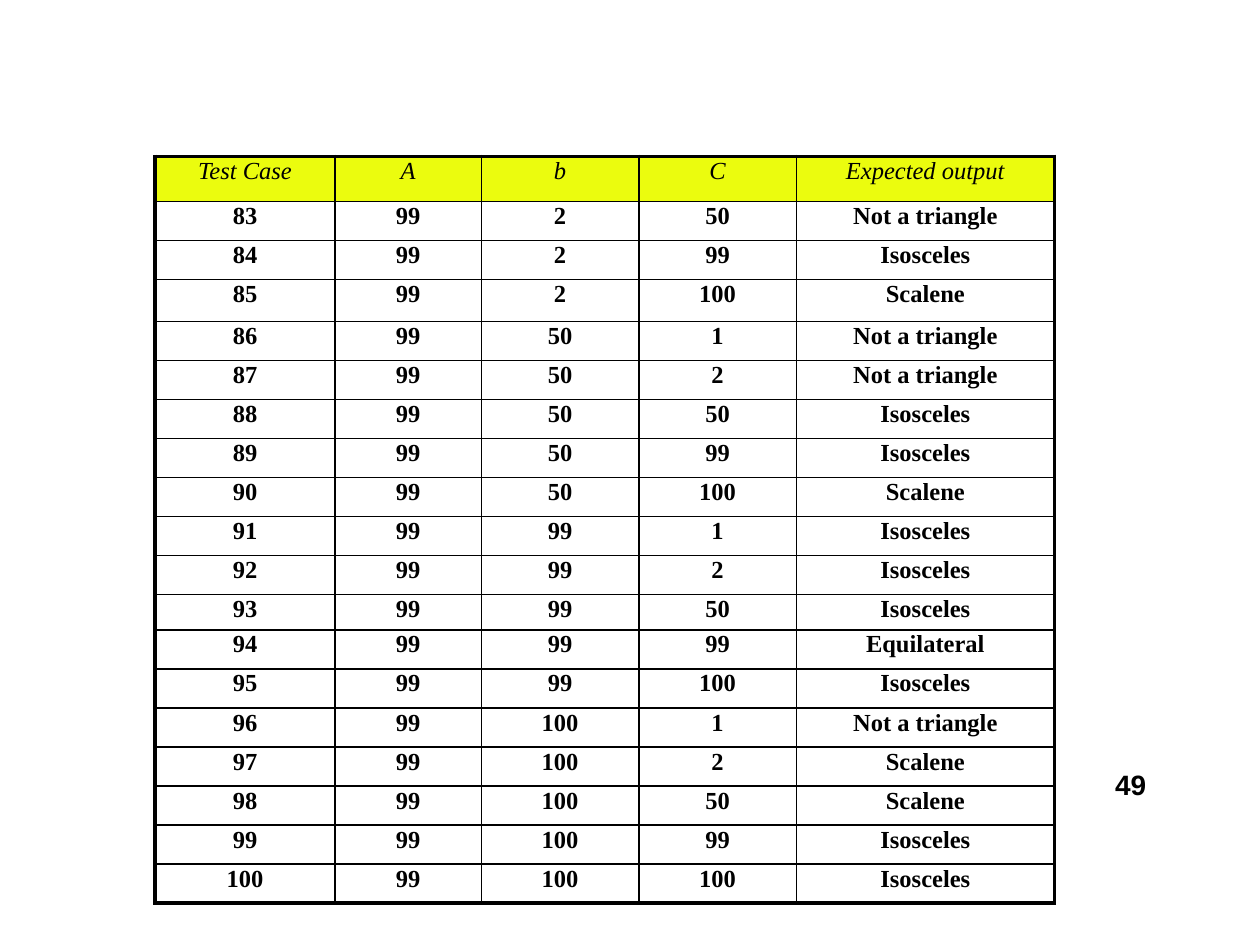
"""Build a slide tabulating triangle test cases 83 to 100."""
from typing import NamedTuple

from lxml import etree
from pptx import Presentation
from pptx import util as u
from pptx.dml.color import RGBColor
from pptx.enum import text
from pptx.oxml import ns

BLACK = RGBColor(0x00, 0x00, 0x00)
YELLOW = RGBColor(0xEB, 0xFC, 0x0E)
THIN, THICK = u.Pt(1), u.Pt(2.25)
HEADS = ("Test Case", "A", "b", "C", "Expected output")
WIDTHS = (1.43, 1.16, 1.25, 1.25, 2.05)
HEIGHT = 0.31
ODD = {0: 0.36, 3: 0.33, 11: 0.28}
FIRST = 83


class Case(NamedTuple):
    a: int
    b: int
    c: int
    result: str


CASES = (
    Case(99, 2, 50, "Not a triangle"),
    Case(99, 2, 99, "Isosceles"),
    Case(99, 2, 100, "Scalene"),
    Case(99, 50, 1, "Not a triangle"),
    Case(99, 50, 2, "Not a triangle"),
    Case(99, 50, 50, "Isosceles"),
    Case(99, 50, 99, "Isosceles"),
    Case(99, 50, 100, "Scalene"),
    Case(99, 99, 1, "Isosceles"),
    Case(99, 99, 2, "Isosceles"),
    Case(99, 99, 50, "Isosceles"),
    Case(99, 99, 99, "Equilateral"),
    Case(99, 99, 100, "Isosceles"),
    Case(99, 100, 1, "Not a triangle"),
    Case(99, 100, 2, "Scalene"),
    Case(99, 100, 50, "Scalene"),
    Case(99, 100, 99, "Isosceles"),
    Case(99, 100, 100, "Isosceles"),
)


def clear(box) -> None:
    box.margin_left = box.margin_right = 0
    box.margin_top = box.margin_bottom = 0


def style(para, name: str, size: int, bold: bool, italic: bool = False) -> None:
    font = para.font
    font.name, font.size = name, u.Pt(size)
    font.bold, font.italic = bold, italic
    font.color.rgb = BLACK


def border(cell, edges: dict[str, bool]) -> None:
    props = cell._tc.get_or_add_tcPr()
    for side, outer in edges.items():
        line = etree.SubElement(props, ns.qn(f"a:ln{side}"), w=str(THICK if outer else THIN))
        fill = etree.SubElement(line, ns.qn("a:solidFill"))
        etree.SubElement(fill, ns.qn("a:srgbClr"), val=str(BLACK))


def fill_cell(cell, value: str, head: bool, space: float, edges: dict[str, bool]) -> None:
    clear(cell)
    border(cell, edges)
    if head:
        cell.fill.solid()
        cell.fill.fore_color.rgb = YELLOW
    else:
        cell.fill.background()
    para = cell.text_frame.paragraphs[0]
    para.text = value
    para.alignment = text.PP_ALIGN.CENTER
    para.line_spacing = space
    style(para, "Times New Roman", 14, not head, head)


def add_cases(slide) -> None:
    rows = [HEADS] + [(FIRST + i, *case) for i, case in enumerate(CASES)]
    highs = [ODD.get(i, HEIGHT) for i in range(len(rows))]
    table = slide.shapes.add_table(
        len(rows), len(HEADS), u.Inches(1.23), u.Inches(1.24),
        u.Inches(sum(WIDTHS)), u.Inches(sum(highs))).table
    table.first_row = table.horz_banding = False
    for col, width in zip(table.columns, WIDTHS):
        col.width = u.Inches(width)
    for r, values in enumerate(rows):
        table.rows[r].height = u.Inches(highs[r])
        space = 1.04 if r < 11 or r == 13 else 1.05
        for c, value in enumerate(values):
            edges = {"L": c == 0, "R": c == len(HEADS) - 1,
                     "T": r == 0, "B": r == len(rows) - 1}
            fill_cell(table.cell(r, c), str(value), r == 0, space, edges)


def add_number(slide, value: str) -> None:
    frame = slide.shapes.add_textbox(
        u.Inches(8.84), u.Inches(6.05), u.Inches(0.28), u.Inches(0.28)).text_frame
    clear(frame)
    frame.word_wrap = True
    frame.auto_size = text.MSO_AUTO_SIZE.SHAPE_TO_FIT_TEXT
    para = frame.paragraphs[0]
    para.text = value
    para.line_spacing = 1.17
    para._p.get_or_add_pPr().set("marL", str(u.Inches(0.01)))
    style(para, "Arial", 16, True)


def main() -> None:
    deck = Presentation()
    deck.slide_width, deck.slide_height = u.Inches(10), u.Inches(7.5)
    slide = deck.slides.add_slide(deck.slide_layouts[6])
    add_cases(slide)
    add_number(slide, "49")
    deck.save("out.pptx")


if __name__ == "__main__":
    main()
